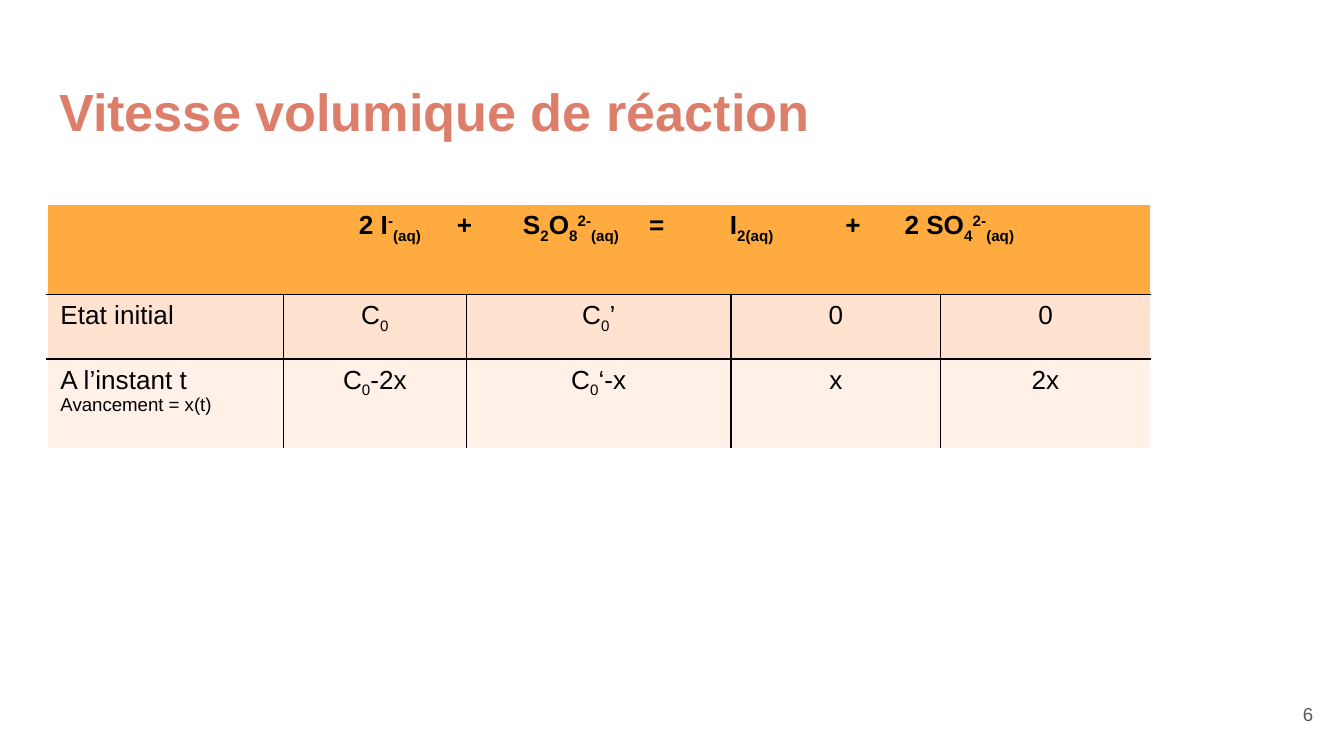
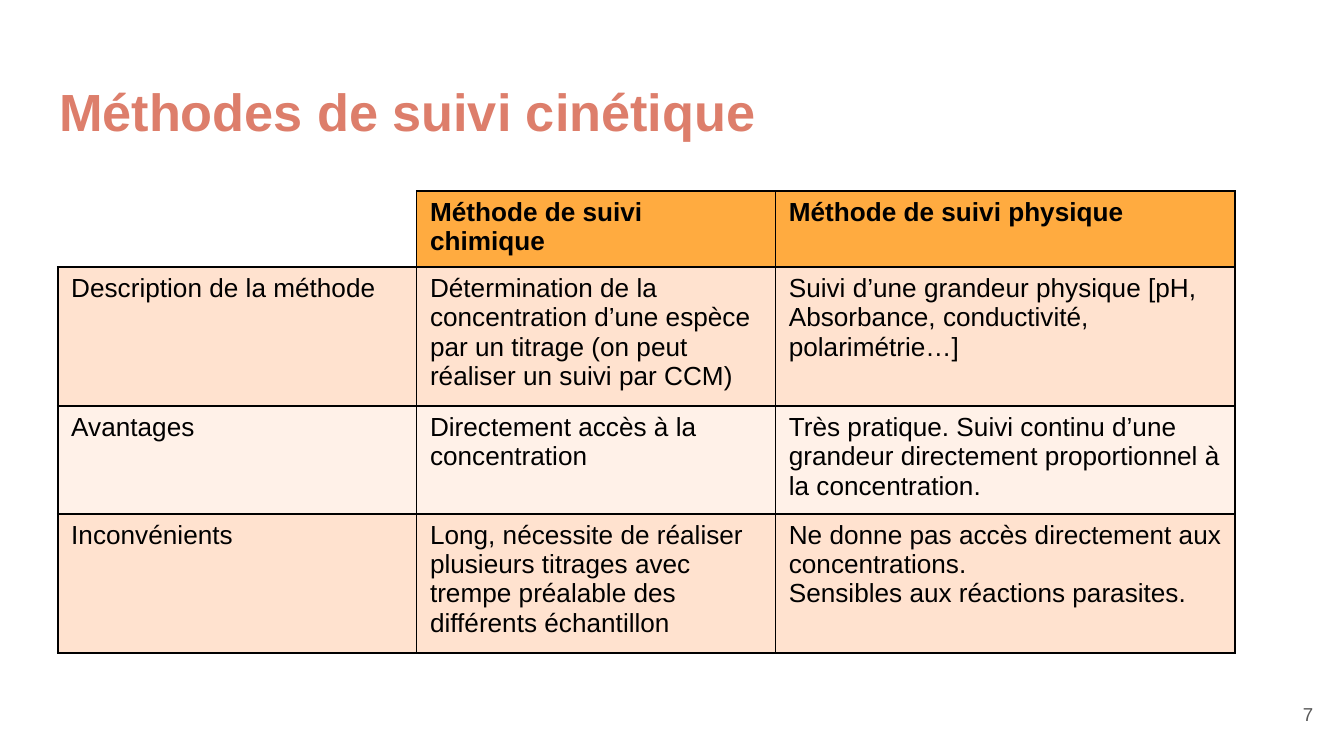
from dataclasses import dataclass
from typing import Any

from lxml.etree import SubElement
from pptx import Presentation
from pptx.dml.color import RGBColor
from pptx.enum.text import MSO_ANCHOR, MSO_AUTO_SIZE, PP_ALIGN
from pptx.oxml.ns import qn
from pptx.util import Inches, Pt


@dataclass(frozen=True)
class Theme:
    font: str = "Arial"
    title_color: str = "DD7E6B"
    number_color: str = "595959"
    text_color: str = "000000"
    line_color: str = "000000"
    open_line_color: str = "FFFFFF"
    header_fill: str = "FFAB40"
    band_fills: tuple[str, str] = ("FFE2CF", "FFF1E8")
    title_size: float = 28
    body_size: float = 14
    small_size: float = 10
    line_width: float = 1


@dataclass(frozen=True)
class Line:
    """Markup: parts are split by |, with _ for subscript and ^ for superscript."""
    markup: str
    small: bool = False


@dataclass(frozen=True)
class TableSpec:
    left: float
    top: float
    width: float
    height: float
    columns: tuple[float, ...]
    row_heights: tuple[float, ...]
    rows: tuple[tuple[tuple[Line, ...], ...], ...]
    merged_header: bool = False
    open_sides: bool = False
    centred_values: bool = False
    tab_stops: tuple[float, ...] = ()


@dataclass(frozen=True)
class SlideSpec:
    number: int
    title: str
    table: TableSpec


THEME = Theme()
SLIDE_WIDTH = 10
SLIDE_HEIGHT = SLIDE_WIDTH * 9 / 16
BASELINES = {"_": "-25000", "^": "30000"}
INSETS = {f"margin_{side}": Inches(0.1) for side in ("left", "top", "right", "bottom")}


def cell(*texts: str) -> tuple[Line, ...]:
    return tuple(Line(text) for text in texts)


REACTION = TableSpec(
    left=0.35, top=1.52, width=8.22, height=1.83,
    columns=(1.76, 1.36, 1.97, 1.56, 1.56),
    row_heights=(0.67, 0.48, 0.67),
    merged_header=True, open_sides=True, centred_values=True,
    tab_stops=(2.22, 2.95, 3.44, 4.38, 4.98, 5.84, 6.28),
    rows=(
        (cell("\t2 I|^-|_(aq)|\t+\tS|_2|O|_8|^2-|_(aq)|\t=\tI|_2(aq)|\t+\t2 SO|_4|^2-|_(aq)"),),
        (cell("Etat initial"), cell("C|_0"), cell("C|_0|’"), cell("0"), cell("0")),
        ((Line("A l’instant t"), Line("Avancement = x(t)", small=True)),
         cell("C|_0|-2x"), cell("C|_0|‘-x"), cell("x"), cell("2x")),
    ),
)

METHODS = TableSpec(
    left=0.43, top=1.42, width=8.76, height=3.43,
    columns=(2.67, 2.67, 3.42),
    row_heights=(0.41,) * 4,
    rows=(
        ((), cell("Méthode de suivi chimique"), cell("Méthode de suivi physique")),
        (cell("Description de la méthode"),
         cell("Détermination de la concentration d’une espèce par un titrage "
              "(on peut réaliser un suivi par CCM)"),
         cell("Suivi d’une grandeur physique [pH, Absorbance, conductivité, polarimétrie…]")),
        (cell("Avantages"),
         cell("Directement accès à la concentration"),
         cell("Très pratique. Suivi continu d’une grandeur directement "
              "proportionnel à la concentration.")),
        (cell("Inconvénients"),
         cell("Long, nécessite de réaliser plusieurs titrages avec trempe "
              "préalable des différents échantillon"),
         cell("Ne donne pas accès directement aux concentrations.",
              "Sensibles aux réactions parasites.")),
    ),
)

SLIDES = (
    SlideSpec(6, "Vitesse volumique de réaction", REACTION),
    SlideSpec(7, "Méthodes de suivi cinétique", METHODS),
)


def apply_format(target: Any, values: dict[str, Any]) -> None:
    for name, value in values.items():
        setattr(target, name, value)


def format_font(font: Any, size: float, color: str, bold: bool = False) -> None:
    apply_format(font, {"name": THEME.font, "size": Pt(size), "bold": bold})
    font.color.rgb = RGBColor.from_string(color)


def place(shape: Any, left: float, top: float, width: float, height: float) -> None:
    apply_format(shape, {"left": Inches(left), "top": Inches(top),
                         "width": Inches(width), "height": Inches(height)})


# Title and slide number
def add_title(slide: Any, text: str) -> None:
    title = slide.shapes.title
    place(title, 0.34, 0.49, 9.32, 0.63)
    apply_format(title.text_frame, INSETS | {
        "word_wrap": True, "auto_size": MSO_AUTO_SIZE.NONE,
        "vertical_anchor": MSO_ANCHOR.TOP, "text": text})
    paragraph = title.text_frame.paragraphs[0]
    paragraph.alignment = PP_ALIGN.LEFT
    format_font(paragraph.runs[0].font, THEME.title_size, THEME.title_color, True)


def add_slide_number(slide: Any, number: int) -> None:
    box = slide.shapes.add_textbox(Inches(9.27), Inches(5.1), Inches(0.6), Inches(0.43))
    apply_format(box.text_frame, INSETS | {
        "word_wrap": True, "vertical_anchor": MSO_ANCHOR.MIDDLE, "text": str(number)})
    paragraph = box.text_frame.paragraphs[0]
    paragraph.alignment = PP_ALIGN.RIGHT
    format_font(paragraph.runs[0].font, THEME.small_size, THEME.number_color)


# Table text
def write_line(paragraph: Any, line: Line, bold: bool) -> None:
    size = THEME.small_size if line.small else THEME.body_size
    for part in line.markup.split("|"):
        baseline = BASELINES.get(part[0])
        run = paragraph.add_run()
        run.text = part[1:] if baseline else part
        format_font(run.font, size, THEME.text_color, bold)
        if baseline:
            run.font._element.set("baseline", baseline)


def set_tab_stops(paragraph: Any, positions: tuple[float, ...]) -> None:
    tab_list = SubElement(paragraph._p.get_or_add_pPr(), qn("a:tabLst"))
    for position in positions:
        SubElement(tab_list, qn("a:tab"), pos=str(Inches(position)), algn="l")


# Table borders and fills
def set_borders(table_cell: Any, colors: dict[str, str]) -> None:
    properties = table_cell._tc.get_or_add_tcPr()
    for side, color in colors.items():
        border = SubElement(properties, qn(f"a:ln{side}"), w=str(Pt(THEME.line_width)))
        fill = SubElement(border, qn("a:solidFill"))
        SubElement(fill, qn("a:srgbClr"), val=color)


def border_colors(spec: TableSpec, row: int, column: int, blank: bool) -> dict[str, str]:
    merged = spec.merged_header and row == 0
    outer = {
        "L": column == 0 or merged,
        "R": column == len(spec.columns) - 1 or merged,
        "T": row == 0,
        "B": row == len(spec.rows) - 1,
    }
    is_open = spec.open_sides or blank
    return {side: THEME.open_line_color if is_open and at_edge else THEME.line_color
            for side, at_edge in outer.items()}


def fill_cell(table_cell: Any, row: int, blank: bool) -> None:
    if blank:
        table_cell.fill.background()
        return
    color = THEME.band_fills[(row - 1) % 2] if row else THEME.header_fill
    table_cell.fill.solid()
    table_cell.fill.fore_color.rgb = RGBColor.from_string(color)


def add_data_table(slide: Any, spec: TableSpec) -> None:
    bounds = (spec.left, spec.top, spec.width, spec.height)
    frame = slide.shapes.add_table(
        len(spec.rows), len(spec.columns), *(Inches(length) for length in bounds))
    table = frame.table
    apply_format(table, {"first_row": False, "horz_banding": False})
    for column, width in zip(table.columns, spec.columns):
        column.width = Inches(width)
    for row, height in zip(table.rows, spec.row_heights):
        row.height = Inches(height)
    # Row and column changes resize the frame, so its bounds are set last
    place(frame, *bounds)
    if spec.merged_header:
        table.cell(0, 0).merge(table.cell(0, len(spec.columns) - 1))

    for row_index, contents in enumerate(spec.rows):
        for column_index in range(len(spec.columns)):
            table_cell = table.cell(row_index, column_index)
            lines = contents[column_index] if column_index < len(contents) else ()
            blank = not lines and not table_cell.is_spanned
            set_borders(table_cell, border_colors(spec, row_index, column_index, blank))
            fill_cell(table_cell, row_index, blank)
            for index, line in enumerate(lines):
                text_frame = table_cell.text_frame
                paragraph = text_frame.add_paragraph() if index else text_frame.paragraphs[0]
                centred = spec.centred_values and column_index > 0
                paragraph.alignment = PP_ALIGN.CENTER if centred else PP_ALIGN.LEFT
                if row_index == 0 and spec.tab_stops:
                    set_tab_stops(paragraph, spec.tab_stops)
                write_line(paragraph, line, bold=row_index == 0)


def main() -> None:
    presentation = Presentation()
    apply_format(presentation, {"slide_width": Inches(SLIDE_WIDTH),
                                "slide_height": Inches(SLIDE_HEIGHT)})
    title_only = presentation.slide_layouts[5]
    for spec in SLIDES:
        slide = presentation.slides.add_slide(title_only)
        add_title(slide, spec.title)
        add_slide_number(slide, spec.number)
        add_data_table(slide, spec.table)
    presentation.save("out.pptx")


if __name__ == "__main__":
    main()
